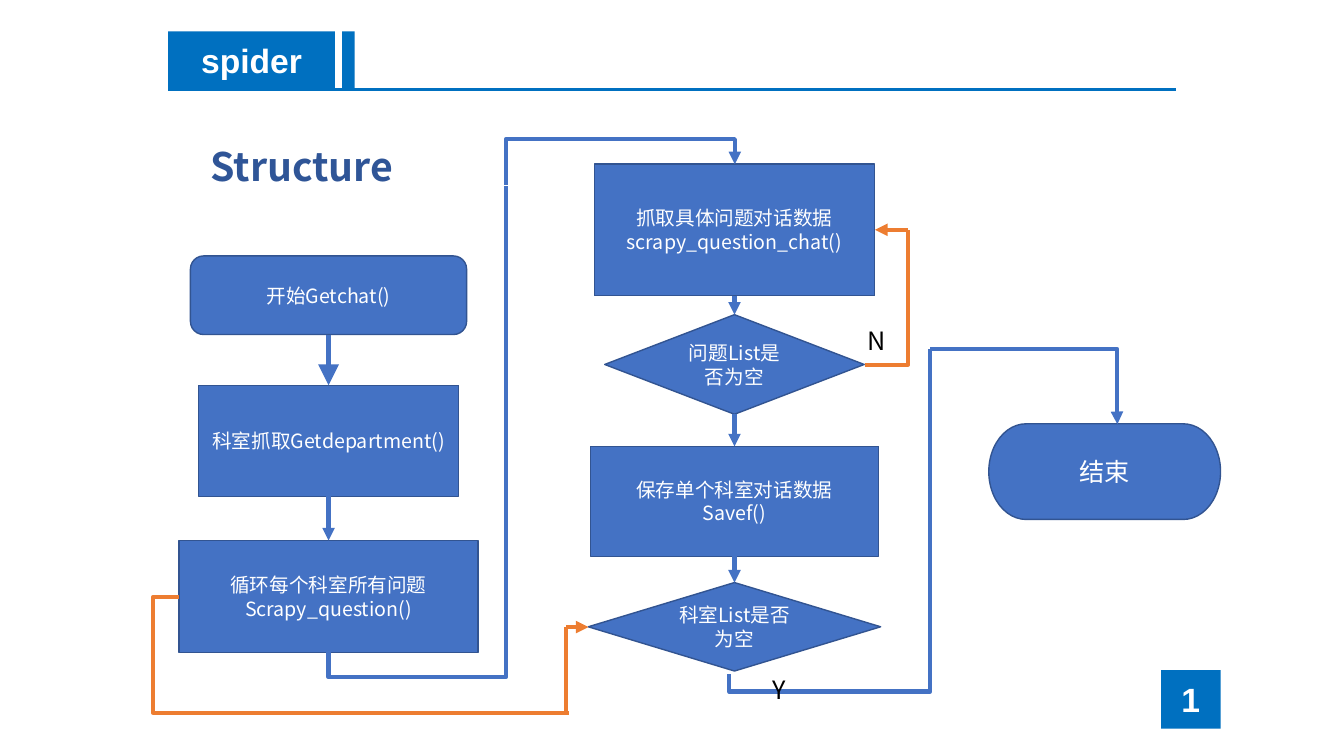
from lxml import etree
from pptx import Presentation
from pptx.dml.color import RGBColor
from pptx.enum.shapes import MSO_CONNECTOR as Link, MSO_SHAPE as Kind
from pptx.enum.text import MSO_ANCHOR as Anchor, MSO_AUTO_SIZE as Fit, PP_ALIGN as Align
from pptx.oxml.ns import qn
from pptx.util import Cm, Pt

AZURE = RGBColor(0x00, 0x70, 0xC0)
BLUE = RGBColor(0x44, 0x72, 0xC4)
EDGE = RGBColor(0x32, 0x54, 0x91)
NAVY = RGBColor(0x2F, 0x55, 0x97)
ORANGE = RGBColor(0xED, 0x7D, 0x31)
WHITE = RGBColor(0xFF, 0xFF, 0xFF)
BLACK = RGBColor(0x00, 0x00, 0x00)
SANS = "Noto Sans CJK SC"

deck = Presentation()
deck.slide_width, deck.slide_height = Cm(33.87), Cm(19.05)
slide = deck.slides.add_slide(deck.slide_layouts[5])
shapes = slide.shapes


def write(shape, text, size, color, font=SANS, bold=False, align=Align.CENTER):
    frame = shape.text_frame
    frame.text = text
    frame.word_wrap = True
    frame.vertical_anchor = Anchor.MIDDLE
    for par in frame.paragraphs:
        par.alignment = align
        for run in par.runs:
            run.font.name, run.font.size = font, Pt(size)
            run.font.bold, run.font.color.rgb = bold, color
            east = etree.SubElement(run.font._element, qn("a:ea"))
            east.set("typeface", font)


def draw(ends, color, width=3, head=None, kind=Link.STRAIGHT):
    """Draw a connector between two points; head is the arrowhead size."""
    link = shapes.add_connector(kind, *[Cm(end) for end in ends])
    link.line.color.rgb = color
    link.line.width = Pt(width)
    etree.SubElement(link._element.spPr, qn("a:effectLst"))
    if head:
        edge = link.line._get_or_add_ln()
        etree.SubElement(edge, qn("a:tailEnd"), type="triangle", w=head, len=head)
    return link


# Header and page number
title = shapes.title
title.left, title.top, title.width, title.height = Cm(3.33), Cm(3.45), Cm(7.87), Cm(1.45)
write(title, "Structure", 28, NAVY, bold=True, align=Align.LEFT)
title.text_frame.auto_size = Fit.NONE
title.text_frame.margin_left = Cm(1.98)

for left, top, width, height, text in [
    (4.24, 0.79, 4.2, 1.47, "spider"),
    (8.62, 0.79, 0.32, 1.47, ""),
    (29.26, 16.89, 1.5, 1.47, "1"),
]:
    block = shapes.add_shape(Kind.RECTANGLE, Cm(left), Cm(top), Cm(width), Cm(height))
    block.shadow.inherit = False
    block.fill.solid()
    block.fill.fore_color.rgb = AZURE
    block.line.fill.background()
    if text:
        write(block, text, 24, WHITE, "Arial", True)
draw((4.24, 2.26, 29.64, 2.26), AZURE, 2)

# Flow chart steps, centred on three columns
COL1, COL2, COL3 = 8.28, 18.51, 27.84
STEP, TEST = Kind.FLOWCHART_PROCESS, Kind.FLOWCHART_DECISION
for kind, mid, top, width, height, size, text in [
    (Kind.FLOWCHART_ALTERNATE_PROCESS, COL1, 6.45, 6.96, 1.98, 14, "开始Getchat()"),
    (STEP, COL1, 9.71, 6.56, 2.8, 14, "科室抓取Getdepartment()"),
    (STEP, COL1, 13.62, 7.54, 2.82, 14, "循环每个科室所有问题Scrapy_question()"),
    (STEP, COL2, 4.13, 7.06, 3.32, 14, "抓取具体问题对话数据\nscrapy_question_chat()"),
    (STEP, COL2, 11.25, 7.27, 2.77, 14, "保存单个科室对话数据\nSavef()"),
    (TEST, COL2, 7.93, 6.54, 2.51, 14, "问题List是否为空"),
    (TEST, COL2, 14.68, 7.37, 2.23, 14, "科室List是否为空"),
    (Kind.FLOWCHART_TERMINATOR, COL3, 10.68, 5.84, 2.41, 18, "结束"),
]:
    node = shapes.add_shape(kind, Cm(mid - width / 2), Cm(top), Cm(width), Cm(height))
    node.shadow.inherit = False
    node.fill.solid()
    node.fill.fore_color.rgb = BLUE
    node.line.color.rgb = EDGE
    node.line.width = Pt(1)
    write(node, text, size, WHITE)

# Straight arrows down each column
for mid, start, end, head in [
    (COL1, 8.43, 9.71, "lg"),
    (COL1, 12.51, 13.62, "med"),
    (COL2, 7.45, 7.93, "med"),
    (COL2, 10.44, 11.25, "med"),
    (COL2, 14.02, 14.68, "med"),
]:
    draw((mid, start, mid, end), BLUE, head=head)

# Elbow routes: box, turn, flips, preset, bend positions
for left, top, width, height, turn, flips, preset, bends, color, head in [
    (4.5, 15.04, 9.83, 2.92, 180, "", "bentConnector3", [106500], ORANGE, None),
    (4.65, 8.33, 11.73, 4.47, 90, "HV", "bentConnector3", [-5400], BLUE, None),
    (12.75, 4.14, 5.77, 0.53, 0, "V", "bentConnector4", [0, 219200], BLUE, "med"),
    (16.81, 10.36, 8.2, 5.07, 90, "HV", "bentConnector3", [-5300], BLUE, None),
    (23.44, 8.79, 4.72, 1.9, 0, "", "bentConnector3", [99800], BLUE, "med"),
    (21.79, 5.79, 1.09, 3.4, 0, "V", "bentConnector2", [], ORANGE, None),
]:
    link = draw((left, top, left + width, top + height), color, head=head, kind=Link.ELBOW)
    frame = link._element.spPr.find(qn("a:xfrm"))
    frame.set("rot", str(turn * 60000))
    for flip in flips:
        frame.set("flip" + flip, "1")
    shape = link._element.spPr.find(qn("a:prstGeom"))
    shape.set("prst", preset)
    guides = shape.find(qn("a:avLst"))
    for count, bend in enumerate(bends, 1):
        name = "adj" if preset == "bentConnector3" and len(bends) == 0 else f"adj{count}"
        etree.SubElement(guides, qn("a:gd"), name=name, fmla=f"val {bend}")

# Last stretches of the orange routes
for ends, head in [
    ((22.89, 5.79, 22.05, 5.79), "med"),
    ((14.27, 15.8, 14.27, 17.93), None),
    ((14.27, 15.8, 14.83, 15.8), "med"),
]:
    draw(ends, ORANGE, head=head)

for left, top, text in [(21.62, 8.06, "N"), (19.21, 16.87, "Y")]:
    label = shapes.add_textbox(Cm(left), Cm(top), Cm(2.35), Cm(1.02))
    write(label, text, 18, BLACK, align=Align.LEFT)

deck.save("out.pptx")
